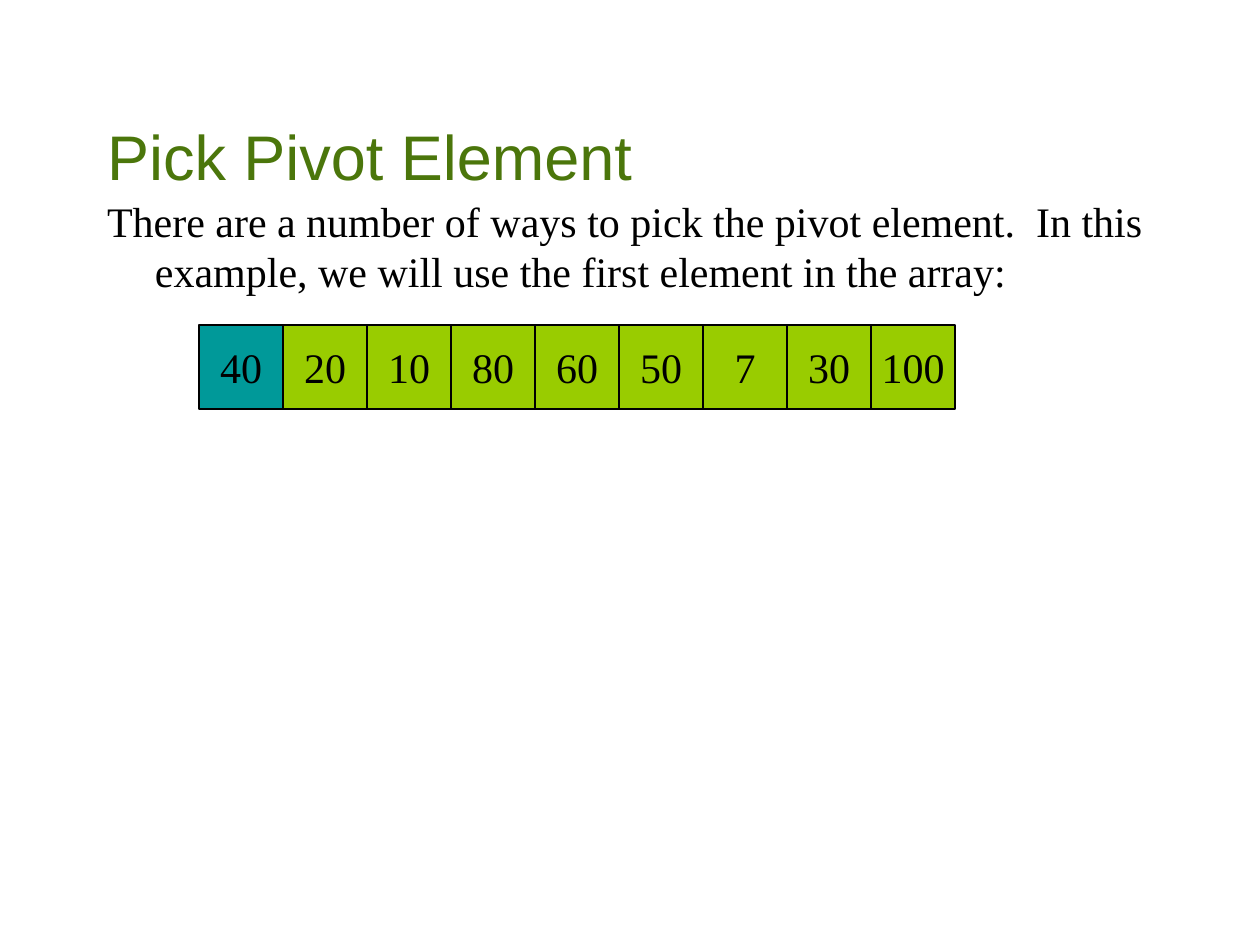
from dataclasses import dataclass

from lxml import etree
from pptx import Presentation
from pptx.dml.color import RGBColor
from pptx.enum.shapes import MSO_SHAPE
from pptx.enum.text import MSO_ANCHOR, MSO_AUTO_SIZE, PP_ALIGN
from pptx.oxml.ns import qn
from pptx.util import Inches, Pt

RECTANGLE = MSO_SHAPE.RECTANGLE
MIDDLE, BOTTOM = MSO_ANCHOR.MIDDLE, MSO_ANCHOR.BOTTOM
LEFT, CENTER = PP_ALIGN.LEFT, PP_ALIGN.CENTER
NO_AUTOFIT = MSO_AUTO_SIZE.NONE


@dataclass(frozen=True)
class Theme:
    title_font: str = "Arial"
    text_font: str = "Times New Roman"
    title_size: Pt = Pt(36)
    text_size: Pt = Pt(24)
    title_color: RGBColor = RGBColor(0x4B, 0x76, 0x0B)
    text_color: RGBColor = RGBColor(0, 0, 0)
    pivot_fill: RGBColor = RGBColor(0x00, 0x99, 0x99)
    cell_fill: RGBColor = RGBColor(0x99, 0xCC, 0x00)


THEME = Theme()


def add_run(paragraph, text, font_name, size, color):
    run = paragraph.add_run()
    run.text = text
    run.font.name = font_name
    run.font.size = size
    run.font.color.rgb = color


def place(shape, left, top, width, height):
    shape.left, shape.top = Inches(left), Inches(top)
    shape.width, shape.height = Inches(width), Inches(height)


presentation = Presentation()
presentation.slide_width = Inches(10)
presentation.slide_height = Inches(7.5)
slide = presentation.slides.add_slide(presentation.slide_layouts[1])

# Title
title = slide.shapes.title
place(title, 0.75, 0.33, 8.5, 1.25)
title.text_frame.auto_size = NO_AUTOFIT
title.text_frame.vertical_anchor = BOTTOM
paragraph = title.text_frame.paragraphs[0]
paragraph.alignment = LEFT
add_run(paragraph, "Pick Pivot Element",
        THEME.title_font, THEME.title_size, THEME.title_color)

# Explanation with a hanging indent
body = slide.placeholders[1]
place(body, 0.75, 1.5, 8.5, 4.5)
body.text_frame.auto_size = NO_AUTOFIT
body.text_frame.margin_right = 0
paragraph = body.text_frame.paragraphs[0]
properties = paragraph._p.get_or_add_pPr()
properties.set("marL", str(Inches(0.38)))
properties.set("indent", str(Inches(-0.38)))
etree.SubElement(properties, qn("a:buNone"))
paragraph.space_before = Pt(0)
add_run(paragraph,
        "There are a number of ways to pick the pivot element.  "
        "In this example, we will use the first element in the array:",
        THEME.text_font, THEME.text_size, THEME.text_color)

# Array cells, with the pivot first
values = [40, 20, 10, 80, 60, 50, 7, 30, 100]
array_left, array_top = Inches(1.58), Inches(2.58)
cell_size = Inches(2 / 3)
for index, value in enumerate(values):
    cell = slide.shapes.add_shape(
        RECTANGLE, array_left + index * cell_size, array_top, cell_size, cell_size)
    cell.shadow.inherit = False
    cell.fill.solid()
    cell.fill.fore_color.rgb = THEME.pivot_fill if index == 0 else THEME.cell_fill
    cell.line.color.rgb = THEME.text_color
    cell.line.width = Pt(0.75)
    cell.text_frame.word_wrap = False
    cell.text_frame.vertical_anchor = MIDDLE
    paragraph = cell.text_frame.paragraphs[0]
    paragraph.alignment = CENTER
    add_run(paragraph, str(value),
            THEME.text_font, THEME.text_size, THEME.text_color)

presentation.save("out.pptx")
